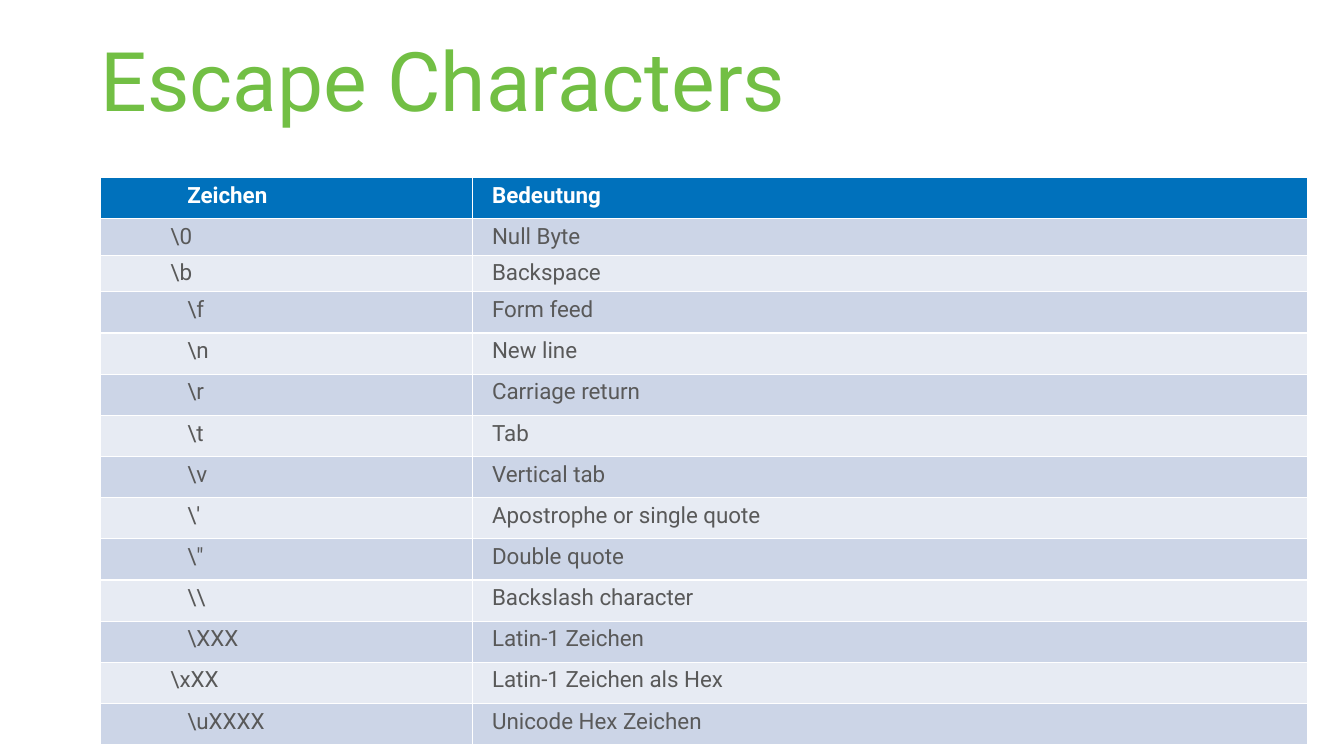
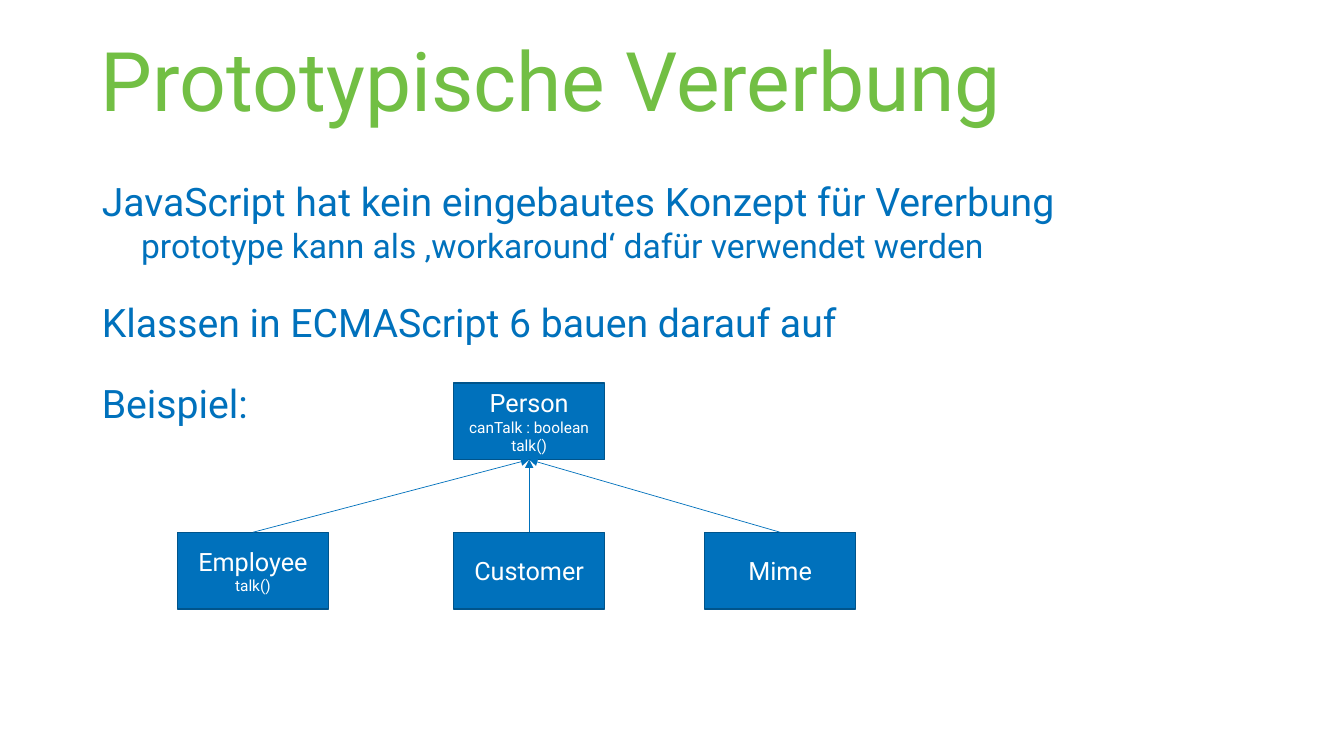
from lxml import etree
from pptx import Presentation
from pptx.dml.color import RGBColor
from pptx.enum.shapes import MSO_CONNECTOR, MSO_SHAPE
from pptx.enum.text import MSO_ANCHOR, MSO_AUTO_SIZE, PP_ALIGN
from pptx.oxml.ns import qn
from pptx.util import Pt

RECT = MSO_SHAPE.RECTANGLE
STRAIGHT = MSO_CONNECTOR.STRAIGHT
MIDDLE, TOP = MSO_ANCHOR.MIDDLE, MSO_ANCHOR.TOP
LEFT, CENTER = PP_ALIGN.LEFT, PP_ALIGN.CENTER
NO_FIT = MSO_AUTO_SIZE.NONE

FONT = "Roboto"
GREEN, BLUE, DARK_BLUE = "72BF44", "0071BC", "00548B"
WHITE, GRAY = "FFFFFF", "595959"
BANDS = ("CCD5E7", "E7EBF3")
MARGIN, WIDTH, CONTENT_TOP = 72, 862, 126.7
COLUMNS = (265.7, 596.3)
ROW_HEIGHT, SMALL_ROW = 29.4, 26.2
INDENT, WIDE_INDENT = 36, 48
BOX_WIDTH, BOX_HEIGHT = 108, 54.7
PARENT_TOP, CHILD_TOP = 273.6, 380.2
TOP_SITE, BOTTOM_SITE = 0, 2

HEADER = ("Zeichen", "Bedeutung")
ESCAPES = [
    (r"\0", "Null Byte"),
    (r"\b", "Backspace"),
    (r"\f", "Form feed"),
    (r"\n", "New line"),
    (r"\r", "Carriage return"),
    (r"\t", "Tab"),
    (r"\v", "Vertical tab"),
    (r"\'", "Apostrophe or single quote"),
    (r"\"", "Double quote"),
    (r"\\", "Backslash character"),
    (r"\XXX", "Latin-1 Zeichen"),
    (r"\xXX", "Latin-1 Zeichen als Hex"),
    (r"\uXXXX", "Unicode Hex Zeichen"),
]
SMALL_ROWS = (r"\0", r"\b")
NARROW_INDENT = (r"\0", r"\b", r"\xXX")

POINTS = [
    (0, "JavaScript hat kein eingebautes Konzept für Vererbung"),
    (1, "prototype kann als ‚workaround‘ dafür verwendet werden"),
    (0, "Klassen in ECMAScript 6 bauen darauf auf"),
    (0, "Beispiel:"),
]
LEVELS = ({"size": 28, "indent": 0.7, "before": 24},
          {"size": 24, "indent": 28.8, "before": 0})
CHILDREN = [
    (126.7, ("Employee", "talk()")),
    (324, ("Customer",)),
    (503.3, ("Mime",)),
]


def rgb(value):
    """Return the colour for a hex string."""
    return RGBColor.from_string(value)


def set_format(target, values):
    """Set attributes of an object from a dict."""
    for name, value in values.items():
        setattr(target, name, value)


def add_run(p, text, size, color, bold=False):
    """Add a formatted run to a paragraph."""
    r = p.add_run()
    r.text = text
    set_format(r.font, {"name": FONT, "size": Pt(size), "bold": bold})
    r.font.color.rgb = rgb(color)


def set_indent(p, left):
    """Indent a whole paragraph from the left."""
    pPr = p._p.get_or_add_pPr()
    pPr.set("marL", str(Pt(left)))
    pPr.set("indent", "0")


def place(sp, left, top, width, height, anchor):
    """Move a placeholder and clear its margins."""
    set_format(sp, {"left": Pt(left), "top": Pt(top),
                    "width": Pt(width), "height": Pt(height)})
    tf = sp.text_frame
    set_format(tf, {"margin_left": 0, "margin_right": 0, "margin_top": 0,
                    "margin_bottom": 0, "word_wrap": True,
                    "auto_size": NO_FIT, "vertical_anchor": anchor})
    return tf


def add_slide(prs, layout, title):
    """Add a slide with the shared title style."""
    s = prs.slides.add_slide(prs.slide_layouts[layout])
    tf = place(s.shapes.title, MARGIN, 21, WIDTH, 71, MIDDLE)
    p = tf.paragraphs[0]
    p.alignment = LEFT
    add_run(p, title, 58.7, GREEN)
    return s


def fill_cell(cell, text, fill, color, indent=0, bold=False):
    """Write one table cell."""
    set_format(cell, {"margin_left": Pt(13.8), "margin_right": Pt(13.8),
                      "margin_top": Pt(3.6), "margin_bottom": Pt(3.6)})
    cell.fill.solid()
    cell.fill.fore_color.rgb = rgb(fill)
    p = cell.text_frame.paragraphs[0]
    set_indent(p, indent)
    add_run(p, text, 16, color, bold)


def add_escape_table(s):
    """Add the banded table of escape characters."""
    rows = [HEADER, *ESCAPES]
    heights = [SMALL_ROW if row[0] in SMALL_ROWS else ROW_HEIGHT
               for row in rows]
    table = s.shapes.add_table(len(rows), len(COLUMNS), Pt(MARGIN),
                               Pt(CONTENT_TOP), Pt(WIDTH),
                               Pt(sum(heights))).table
    for column, width in zip(table.columns, COLUMNS):
        column.width = Pt(width)
    for i, (sign, meaning) in enumerate(rows):
        table.rows[i].height = Pt(heights[i])
        head = i == 0
        fill = BLUE if head else BANDS[(i - 1) % 2]
        color = WHITE if head else GRAY
        indent = INDENT if sign in NARROW_INDENT else WIDE_INDENT
        fill_cell(table.cell(i, 0), sign, fill, color, indent, head)
        fill_cell(table.cell(i, 1), meaning, fill, color, bold=head)


def fill_body(s, points):
    """Fill the body placeholder with unbulleted paragraphs."""
    tf = place(s.placeholders[1], MARGIN, CONTENT_TOP, WIDTH, 413.3, TOP)
    for i, (level, text) in enumerate(points):
        p = tf.add_paragraph() if i else tf.paragraphs[0]
        style = LEVELS[level]
        set_indent(p, style["indent"])
        etree.SubElement(p._p.get_or_add_pPr(), qn("a:buNone"))
        set_format(p, {"level": level,
                       "space_before": Pt(style["before"] if i else 0)})
        add_run(p, text, style["size"], BLUE)


def add_class_box(s, left, top, lines):
    """Add a class box with its name and members."""
    sp = s.shapes.add_shape(RECT, Pt(left), Pt(top),
                            Pt(BOX_WIDTH), Pt(BOX_HEIGHT))
    sp.shadow.inherit = False
    sp.fill.solid()
    sp.fill.fore_color.rgb = rgb(BLUE)
    sp.line.color.rgb = rgb(DARK_BLUE)
    sp.line.width = Pt(1)
    tf = sp.text_frame
    set_format(tf, {"word_wrap": True, "vertical_anchor": MIDDLE})
    for i, text in enumerate(lines):
        p = tf.add_paragraph() if i else tf.paragraphs[0]
        p.alignment = CENTER
        add_run(p, text, 11 if i else 18, WHITE)
    return sp


def add_inheritance_arrow(s, child, parent):
    """Connect a child box to its parent with an arrow."""
    line = s.shapes.add_connector(STRAIGHT, 0, 0, 0, 0)
    line.begin_connect(child, TOP_SITE)
    line.end_connect(parent, BOTTOM_SITE)
    line.line.color.rgb = rgb(BLUE)
    line.line.width = Pt(0.5)
    etree.SubElement(line.line._get_or_add_ln(), qn("a:tailEnd"),
                     type="triangle")
    etree.SubElement(line._element.spPr, qn("a:effectLst"))


def main():
    """Build and save the slides."""
    prs = Presentation()
    set_format(prs, {"slide_width": Pt(960), "slide_height": Pt(540)})

    s = add_slide(prs, 5, "Escape Characters")
    add_escape_table(s)

    s = add_slide(prs, 1, "Prototypische Vererbung")
    fill_body(s, POINTS)
    parent = add_class_box(s, 324, PARENT_TOP,
                           ("Person", "canTalk : boolean", "talk()"))
    children = [add_class_box(s, left, CHILD_TOP, lines)
                for left, lines in CHILDREN]
    for child in children:
        add_inheritance_arrow(s, child, parent)

    prs.save("out.pptx")


if __name__ == "__main__":
    main()
